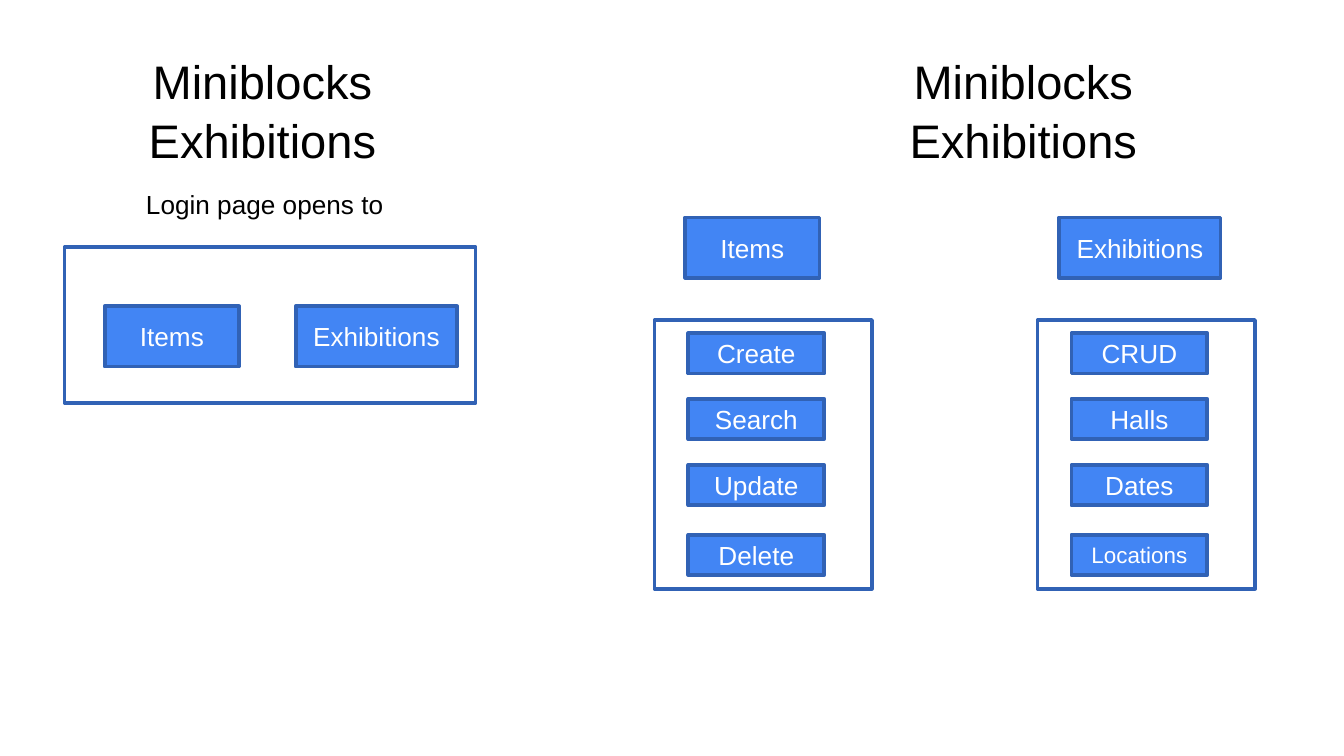
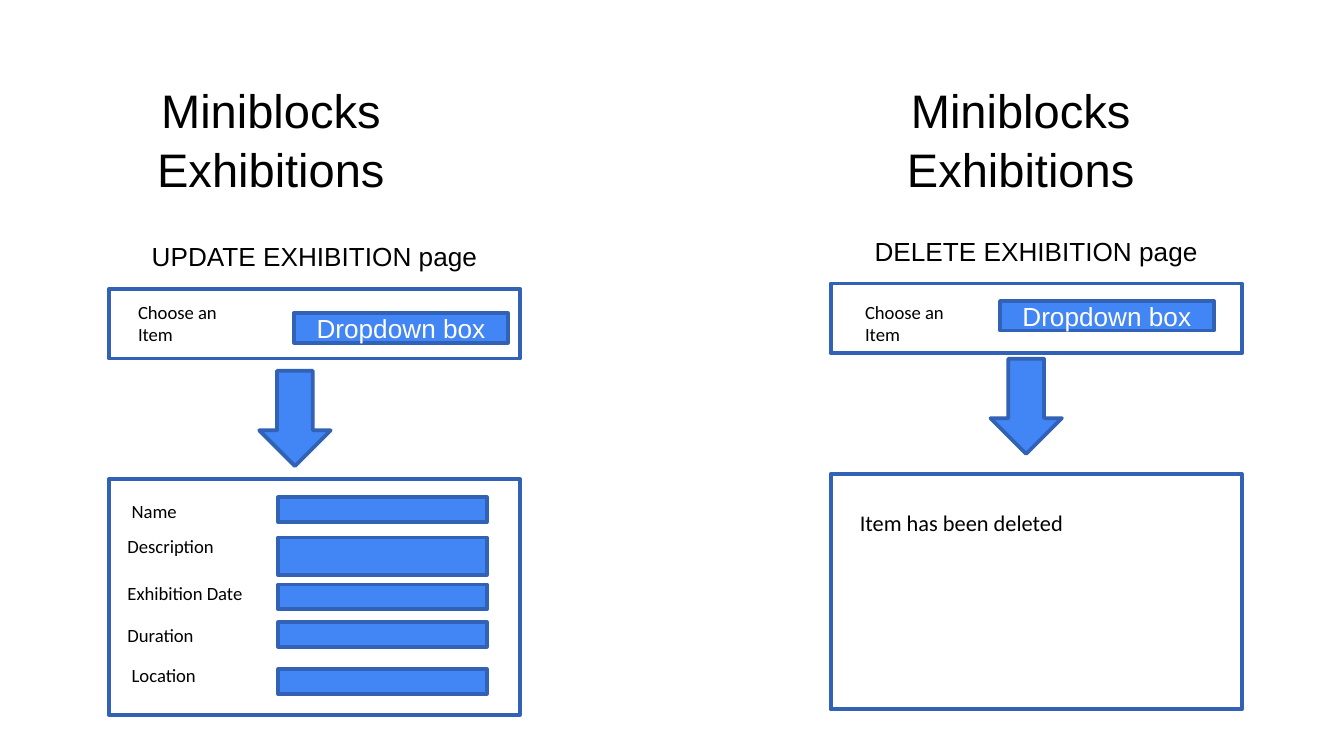
import pptx
import pptx.dml.color
import pptx.enum.shapes
import pptx.enum.text
import pptx.util

Cm = pptx.util.Cm
Align = pptx.enum.text.PP_ALIGN
Anchor = pptx.enum.text.MSO_ANCHOR
Shape = pptx.enum.shapes.MSO_SHAPE

BLUE, EDGE, WHITE, BLACK = "4285F4", "3162B5", "FFFFFF", "000000"
TITLE_TEXT = "Miniblocks Exhibitions"
TITLE_SIZE = (4.9, 2.54)
BUTTON_HEIGHT = 1.14
PANEL_WIDTH = 7.77


def color(value):
    return pptx.dml.color.RGBColor.from_string(value)


def apply(target, formats):
    for name, value in formats.items():
        setattr(target, name, value)


class Deck:
    def __init__(self):
        self.deck = pptx.Presentation()
        apply(self.deck, {"slide_width": Cm(25.4), "slide_height": Cm(14.29)})
        self.page = None

    def fill_text(self, box, text, size, font="Arial", ink=BLACK,
                  align=Align.LEFT, anchor=Anchor.TOP, spacing=None):
        """Fill a shape with text, one paragraph for each line."""
        frame = box.text_frame
        apply(frame, {"word_wrap": True, "vertical_anchor": anchor,
                      "auto_size": pptx.enum.text.MSO_AUTO_SIZE.NONE})
        frame.text = text
        for para in frame.paragraphs:
            apply(para, {"alignment": align, "line_spacing": spacing})
            for span in para.runs:
                apply(span.font, {"size": pptx.util.Pt(size), "name": font})
                span.font.color.rgb = color(ink)

    def style_title(self, box):
        margins = ("margin_left", "margin_top", "margin_right", "margin_bottom")
        apply(box.text_frame, dict.fromkeys(margins, Cm(0.25)))
        self.fill_text(box, TITLE_TEXT, 25.2, align=Align.CENTER, spacing=1.05)

    def add_page(self, left, top, second_left):
        """Start a slide with a title over each of its two halves."""
        self.page = self.deck.slides.add_slide(self.deck.slide_layouts[5])
        title = self.page.shapes.title
        width, height = map(Cm, TITLE_SIZE)
        apply(title, {"left": Cm(left), "top": Cm(top),
                      "width": width, "height": height})
        self.style_title(title)
        self.style_title(self.page.shapes.add_textbox(
            Cm(second_left), Cm(top), width, height))

    def text(self, text, left, top, width, height, size, **formats):
        box = self.page.shapes.add_textbox(*map(Cm, (left, top, width, height)))
        self.fill_text(box, text, size, **formats)

    def shape(self, left, top, width, height, fill=BLUE, kind=Shape.RECTANGLE):
        box = self.page.shapes.add_shape(
            kind, *map(Cm, (left, top, width, height)))
        box.shadow.inherit = False
        box.fill.solid()
        box.fill.fore_color.rgb = color(fill)
        box.line.color.rgb = color(EDGE)
        box.line.width = pptx.util.Pt(2)
        return box

    def frame(self, left, top, width, height):
        self.shape(left, top, width, height, fill=WHITE)

    def button(self, text, left, top, width, height, size=14):
        box = self.shape(left, top, width, height)
        self.fill_text(box, text, size, ink=WHITE,
                       align=Align.CENTER, anchor=Anchor.MIDDLE)

    def label(self, text, left, top, width=2.9, height=0.69, size=10):
        self.text(text, left, top, width, height, size, font="Calibri")

    def arrow(self, left, top):
        self.shape(left, top, 1.35, 1.8, kind=Shape.DOWN_ARROW)

    def menu(self, left, names):
        """Framed column of action buttons."""
        self.frame(left, 6.05, 4.11, 5.08)
        for name, top in zip(names, (6.3, 7.54, 8.79, 10.11)):
            size = 12 if len(name) > 8 else 14
            self.button(name, left + 0.64, top, 2.57, 0.76, size)

    def chooser(self, heading, left, top, label_left, dropdown, arrow):
        """Heading, item chooser, arrow and the empty result panel below."""
        self.text(heading, left, top, PANEL_WIDTH, 0.86, 14, align=Align.CENTER)
        self.frame(left, top + 1.04, PANEL_WIDTH, 1.32)
        self.button("Dropdown box", *dropdown, 4.04, 0.56)
        self.label("Choose an\nItem", label_left, 5.56, height=1.12)
        self.arrow(*arrow)
        self.frame(left, top + 4.64, PANEL_WIDTH, 4.45)


def build_menus(deck):
    deck.add_page(2.51, 0.69, 16.89)
    deck.text("Login page opens to", 2.51, 3.43, 5.92, 0.86, 14)
    deck.frame(1.22, 4.67, PANEL_WIDTH, 2.95)
    for items_left, exhibitions_left, top in ((1.98, 5.59, 5.79),
                                              (12.95, 20.02, 4.11)):
        deck.button("Items", items_left, top, 2.54, BUTTON_HEIGHT)
        deck.button("Exhibitions", exhibitions_left, top, 3.05, BUTTON_HEIGHT)
    deck.menu(12.37, ("Create", "Search", "Update", "Delete"))
    deck.menu(19.61, ("CRUD", "Halls", "Dates", "Locations"))


def build_update_and_delete(deck):
    deck.add_page(2.67, 1.24, 16.84)
    deck.chooser("UPDATE EXHIBITION page", 2.06, 4.42, 2.36,
                 dropdown=(5.56, 5.92), arrow=(4.9, 7.01))
    fields = (
        ("Name", 2.24, 9.32, 9.4, 0.47),
        ("Description", 2.16, 9.98, 10.16, 0.71),
        ("Exhibition Date", 2.16, 10.87, 11.05, 0.47),
        ("Duration", 2.16, 11.66, 11.76, 0.47),
        ("Location", 2.24, 12.42, 12.65, 0.47),
    )
    for name, label_left, label_top, field_top, field_height in fields:
        deck.label(name, label_left, label_top)
        deck.shape(5.26, field_top, 3.94, field_height)

    deck.chooser("DELETE EXHIBITION page", 15.7, 4.32, 16.1,
                 dropdown=(18.9, 5.69), arrow=(18.72, 6.78))
    deck.label("Item has been deleted", 16, 9.5, 7.16, 0.76, size=12)


def main():
    deck = Deck()
    build_menus(deck)
    build_update_and_delete(deck)
    deck.deck.save("out.pptx")


if __name__ == "__main__":
    main()
